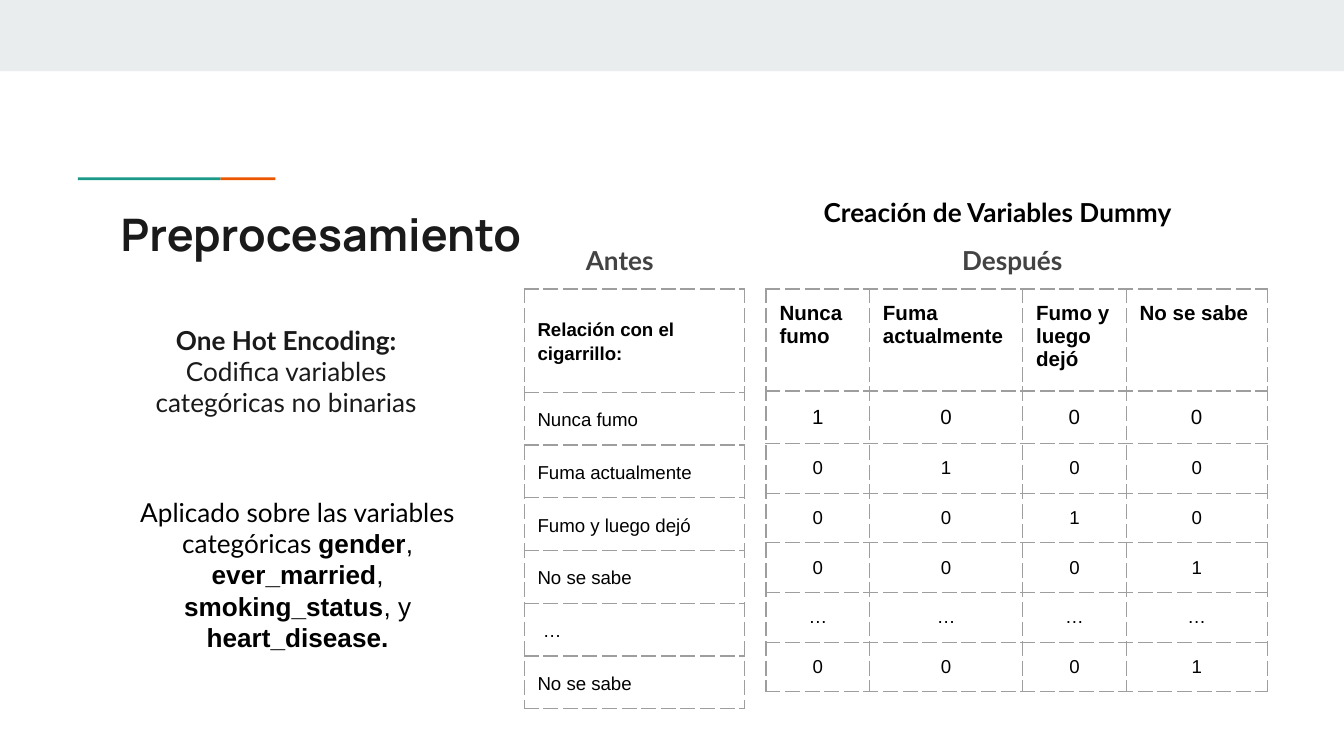
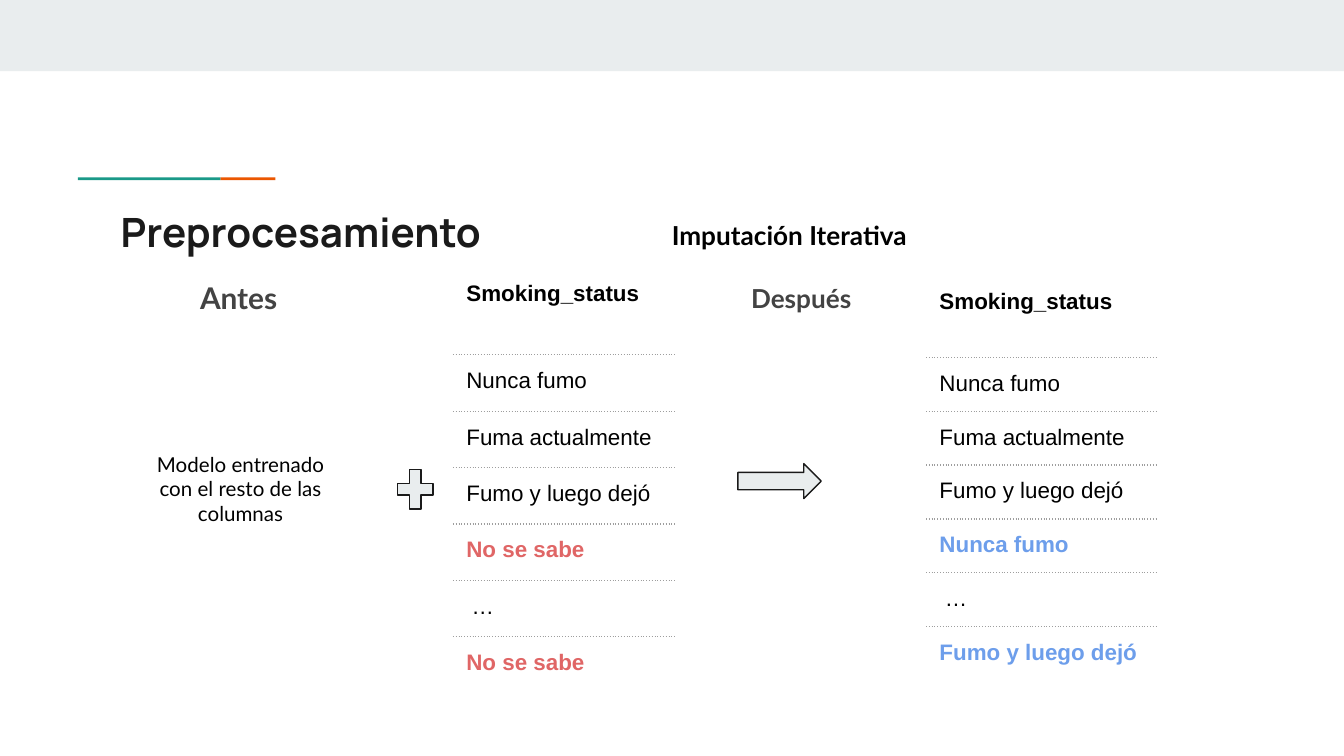
from lxml import etree
from pptx import Presentation
from pptx import util as u
from pptx.dml.color import RGBColor
from pptx.enum import shapes, text
from pptx.oxml import ns

COLORS = {
    "band": "E9EDEE", "teal": "1A9988", "orange": "EB5600", "ink": "1A1A1A",
    "black": "000000", "label": "434343", "border": "9E9E9E",
    "missing": "E06666", "imputed": "6D9EEB",
}
LEFT, CENTER = text.PP_ALIGN.LEFT, text.PP_ALIGN.CENTER
TOP, MIDDLE = text.MSO_ANCHOR.TOP, text.MSO_ANCHOR.MIDDLE


def write(tf, runs, size=14, font="Lato", color="black", bold=False, align=LEFT, spacing=None):
    """Fill a text frame with a string, or with (text, font, bold) runs."""
    tf.word_wrap = True
    p = tf.paragraphs[0]
    p.alignment = align
    if spacing:
        p.line_spacing = spacing
    for words, face, heavy in [(runs, font, bold)] if isinstance(runs, str) else runs:
        r = p.add_run()
        r.text = words
        r.font.size, r.font.name, r.font.bold = u.Pt(size), face, heavy
        r.font.color.rgb = RGBColor.from_string(COLORS[color])


def add_grid(sl, x, y, widths, heights, data, sizes, dash, boxed=True, anchor=MIDDLE,
             head_anchor=TOP, align=LEFT, marked=None, spacing=None):
    """Add a table with a bold header row and thin dashed or dotted borders."""
    frame = sl.shapes.add_table(len(data), len(widths), u.Inches(x), u.Inches(y),
                                u.Inches(sum(widths)), u.Inches(sum(heights)))
    tbl = frame.table
    tbl.first_row = tbl.horz_banding = False
    for col, w in zip(tbl.columns, widths):
        col.width = u.Inches(w)
    last = len(data) - 1
    for i, row in enumerate(data):
        tbl.rows[i].height = u.Inches(heights[i])
        for j, words in enumerate(row):
            cell = tbl.cell(i, j)
            cell.margin_left = cell.margin_right = u.Inches(0.1)
            cell.margin_top = cell.margin_bottom = u.Inches(0.1)
            if words == "…" and align == LEFT:
                cell.margin_left = u.Inches(0.14)
            cell.vertical_anchor = anchor if i else head_anchor
            special = marked if marked and i in (4, 6) else None
            write(cell.text_frame, words, size=sizes[i], font="Arial",
                  color=special or "black", bold=i == 0 or special is not None,
                  align=align if i else LEFT, spacing=spacing)
            # Borders: every side, or only between rows
            tcPr = cell._tc.get_or_add_tcPr()
            visible = {"L": boxed, "R": boxed, "T": boxed or i > 0, "B": boxed or i < last}
            for side, shown in visible.items():
                ln = etree.SubElement(tcPr, ns.qn("a:ln" + side), w=str(u.Pt(0.75)))
                if not shown:
                    etree.SubElement(ln, ns.qn("a:noFill"))
                    continue
                fill = etree.SubElement(ln, ns.qn("a:solidFill"))
                etree.SubElement(fill, ns.qn("a:srgbClr"), val=COLORS["border"])
                etree.SubElement(ln, ns.qn("a:prstDash"), val=dash)
            cell.fill.background()


# Widescreen 16:9 page
prs = Presentation()
prs.slide_width = u.Inches(10)
prs.slide_height = u.Inches(10) * 9 // 16
encoding, imputation = [prs.slides.add_slide(prs.slide_layouts[6]) for _ in range(2)]

# Shapes: top band and accent rule on both slides, then the plus and the arrow
RECT = shapes.MSO_SHAPE.RECTANGLE
frame_shapes = [
    (RECT, 0, 0, 10, 0.53, "band", None),
    (RECT, 1.64, 1.32, 0.41, 0.02, "orange", None),
    (RECT, 0.58, 1.32, 1.06, 0.02, "teal", None),
]
step_shapes = [
    (shapes.MSO_SHAPE.MATH_PLUS, 2.91, 3.44, 0.36, 0.4, "band", "ink"),
    (shapes.MSO_SHAPE.RIGHT_ARROW, 5.49, 3.45, 0.62, 0.26, "band", "ink"),
]
for sl, items in ((encoding, frame_shapes), (imputation, frame_shapes + step_shapes)):
    for kind, x, y, w, h, fill, line in items:
        sp = sl.shapes.add_shape(kind, u.Inches(x), u.Inches(y), u.Inches(w), u.Inches(h))
        sp.shadow.inherit = False
        sp.fill.solid()
        sp.fill.fore_color.rgb = RGBColor.from_string(COLORS[fill])
        if line:
            sp.line.color.rgb = RGBColor.from_string(COLORS[line])
            sp.line.width = u.Pt(0.75)
        else:
            sp.line.fill.background()

# Texts: titles, headings and explanations
title = dict(font="Manrope", color="ink", bold=True)
heading = dict(bold=True)
label = dict(color="label", bold=True)
technique = [
    ("One Hot Encoding: ", "Lato", True),
    ("Codifica variables categóricas no binarias", "Lato", False),
]
variables = [
    ("Aplicado sobre las variables categóricas ", "Lato", False),
    ("gender", "Arial", True), (", ", "Arial", False),
    ("ever_married", "Arial", True), (", ", "Arial", False),
    ("smoking_status", "Arial", True), (", y ", "Arial", False),
    ("heart_disease.", "Arial", True),
]
texts = [
    (encoding, 0.8, 1.44, 3.61, 1.51, "Preprocesamiento", dict(title, size=24)),
    (encoding, 1.02, 2.31, 2.22, 0.91, technique, dict(color="ink", align=CENTER)),
    (encoding, 4.26, 1.72, 0.92, 0.44, "Antes", label),
    (encoding, 7.06, 1.72, 1.01, 0.44, "Después", label),
    (encoding, 6.03, 1.36, 2.83, 0.44, "Creación de Variables Dummy", heading),
    (encoding, 0.8, 3.59, 2.83, 1.62, variables, dict(align=CENTER)),
    (imputation, 0.8, 1.44, 3.22, 0.63, "Preprocesamiento", dict(title, size=21.6)),
    (imputation, 1.39, 1.98, 1.14, 0.47, "Antes", dict(label, size=16)),
    (imputation, 5.49, 2, 1.3, 0.44, "Después", label),
    (imputation, 1.05, 3.26, 1.48, 0.76, "Modelo entrenado con el resto de las columnas",
     dict(size=11, align=CENTER)),
    (imputation, 4.9, 1.53, 2.05, 0.44, "Imputación Iterativa", heading),
]
for sl, x, y, w, h, words, fmt in texts:
    tf = sl.shapes.add_textbox(u.Inches(x), u.Inches(y), u.Inches(w), u.Inches(h)).text_frame
    tf.margin_left = tf.margin_right = tf.margin_top = tf.margin_bottom = u.Inches(0.1)
    write(tf, words, **fmt)

# Tables: smoking categories, before and after
categories = ["Nunca fumo", "Fuma actualmente", "Fumo y luego dejó", "No se sabe"]
before = categories + ["…", "No se sabe"]
after = categories[:3] + ["Nunca fumo", "…", "Fumo y luego dejó"]
dummies = [["…" if value == "…" else str(int(value == c)) for c in categories]
           for value in before]

add_grid(encoding, 3.9, 2.15, [1.64], [0.77] + [0.37] * 6,
         [["Relación con el cigarrillo:"]] + [[v] for v in before],
         [10] * 7, "dash", head_anchor=MIDDLE, spacing=1.15)
add_grid(encoding, 5.7, 2.15, [0.77, 1.14, 0.77, 1.05], [0.76, 0.39] + [0.37] * 5,
         [categories] + dummies, [11, 11] + [10] * 5, "dash", align=CENTER)
for x, y, width, heights, values, marked in [
    (3.37, 1.99, 1.65, [0.65] + [0.42] * 6, before, "missing"),
    (6.89, 2.05, 1.71, [0.61] + [0.4] * 5 + [0.58], after, "imputed"),
]:
    add_grid(imputation, x, y, [width], heights, [["Smoking_status"]] + [[v] for v in values],
             [12] * 7, "dot", boxed=False, anchor=TOP, marked=marked)

prs.save("out.pptx")
